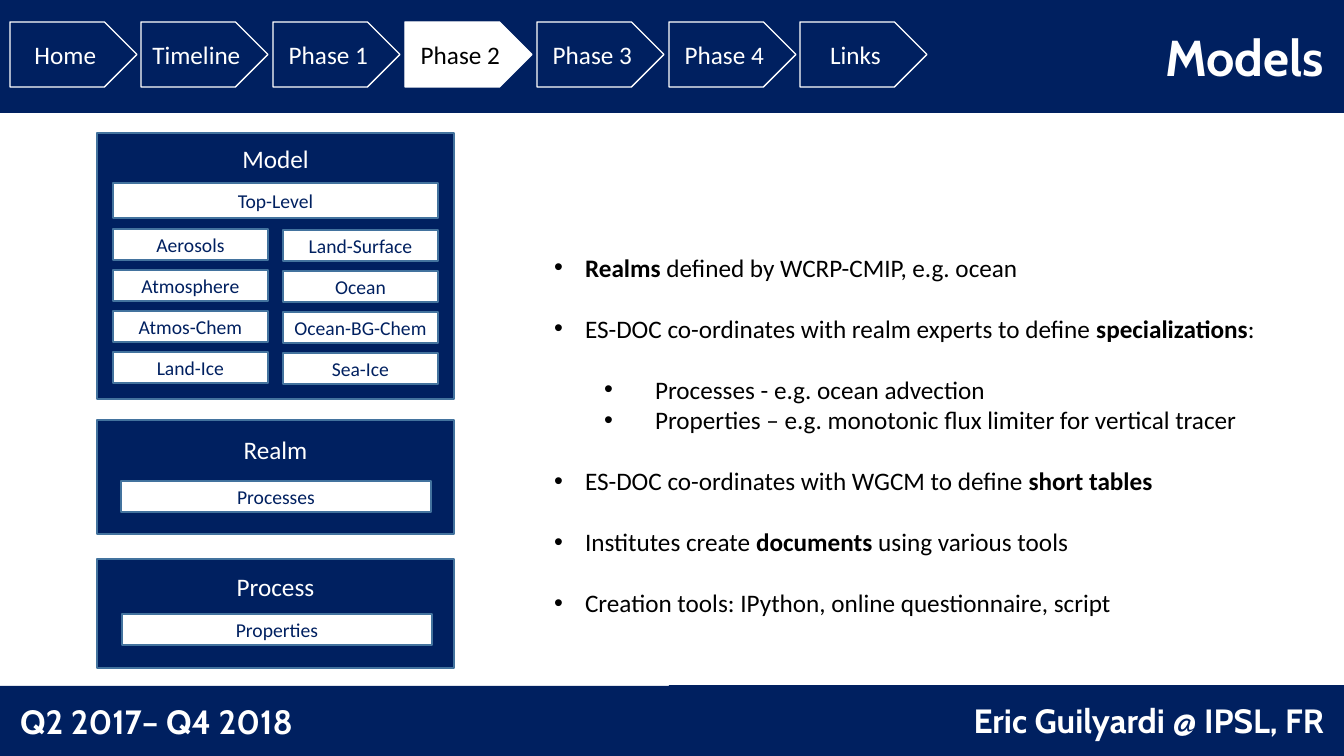
import pptx
import pptx.dml.color
import pptx.enum.shapes
import pptx.enum.text
import pptx.oxml
import pptx.oxml.ns
import pptx.util

PX = 9071
NAVY, WHITE, BLACK, EDGE = "002060", "FFFFFF", "000000", "43739E"
KIND = pptx.enum.shapes.MSO_SHAPE
ALIGN = pptx.enum.text.PP_ALIGN
hue = pptx.dml.color.RGBColor.from_string


def put(para, text, size, color, font="Calibri", bold=False):
    """Append a formatted run to a paragraph."""
    run = para.add_run()
    run.text = text
    look = {"size": pptx.util.Pt(size), "name": font, "bold": bold}
    for key, value in look.items():
        setattr(run.font, key, value)
    run.font.color.rgb = hue(color)


def box(kind, area, fill, edge=None, text="", size=14, color=NAVY):
    """Add a filled shape with centred text."""
    shape = slide.shapes.add_shape(kind, *(n * PX for n in area))
    shape.shadow.inherit = False
    shape.fill.solid()
    shape.fill.fore_color.rgb = hue(fill)
    if edge:
        shape.line.color.rgb = hue(edge)
        shape.line.width = pptx.util.Pt(1)
    else:
        shape.line.fill.background()
    if text:
        para = shape.text_frame.paragraphs[0]
        para.alignment = ALIGN.CENTER
        put(para, text, size, color)
    return shape


deck = pptx.Presentation()
deck.slide_width, deck.slide_height = 1344 * PX, 756 * PX
slide = deck.slides.add_slide(deck.slide_layouts[1])
title, body = slide.placeholders

# Title bar and list
areas = [(title, (0, 0, 1344, 113)), (body, (544, 247, 771, 377))]
for holder, area in areas:
    for key, value in zip(("left", "top", "width", "height"), area):
        setattr(holder, key, value * PX)
    holder.text_frame.auto_size = pptx.enum.text.MSO_AUTO_SIZE.NONE
title.fill.solid()
title.fill.fore_color.rgb = hue(NAVY)
frame = title.text_frame
frame.vertical_anchor = pptx.enum.text.MSO_ANCHOR.MIDDLE
frame.margin_right = 20 * PX
para = frame.paragraphs[0]
para.alignment = ALIGN.RIGHT
put(para, "Models", 36, WHITE, "Cabin", True)

# Level, space before in points, then runs with every second one bold
points = [
    (0, 0, ["", "Realms", " defined by WCRP-CMIP, e.g. ocean"]),
    (0, 22, ["ES-DOC co-ordinates with realm experts to define ",
             "specializations", ":"]),
    (1, 22, ["Processes - e.g. ocean advection"]),
    (1, 0, ["Properties – e.g. monotonic flux limiter for vertical tracer"]),
    (0, 22, ["ES-DOC co-ordinates with WGCM to define ", "short tables"]),
    (0, 22, ["Institutes create ", "documents ", "using various tools"]),
    (0, 22, ["Creation tools: IPython, online questionnaire, script"]),
]
frame = body.text_frame
for i, (level, gap, parts) in enumerate(points):
    para = frame.add_paragraph() if i else frame.paragraphs[0]
    para.level = level
    para.space_before = pptx.util.Pt(gap)
    left, hang = ((31, 31), (101, 51))[level]
    props = para._p.get_or_add_pPr()
    props.set("marL", str(left * PX))
    props.set("indent", str(-hang * PX))
    for tag, key, value in (("a:buFont", "typeface", "Arial"),
                            ("a:buChar", "char", "•")):
        mark = pptx.oxml.parse_xml(
            f'<{tag} {pptx.oxml.ns.nsdecls("a")} {key}="{value}"/>')
        props.append(mark)
    for j, part in enumerate(parts):
        if part:
            put(para, part, 18, BLACK, bold=j % 2 == 1)

# Panels: heading, top, height, heading top
panels = [("Model", 133, 266, 138), ("Realm", 420, 114, 429),
          ("Process", 559, 109, 566)]
for name, top, height, head in panels:
    box(KIND.RECTANGLE, (97, top, 357, height), NAVY, EDGE)
    label = slide.shapes.add_textbox(97 * PX, head * PX, 357 * PX, 40 * PX)
    label.text_frame.word_wrap = True
    para = label.text_frame.paragraphs[0]
    para.alignment = ALIGN.CENTER
    put(para, name, 18, WHITE)

# Tiles inside the panels
tiles = [("Top-Level", (113, 183, 325, 35)),
         ("Processes", (121, 481, 310, 31)),
         ("Properties", (122, 614, 310, 31))]
realms = [("Aerosols", "Land-Surface"), ("Atmosphere", "Ocean"),
          ("Atmos-Chem", "Ocean-BG-Chem"), ("Land-Ice", "Sea-Ice")]
for row, pair in enumerate(realms):
    for col, name in enumerate(pair):
        tiles.append((name, (113 + 170 * col, 229 + 41 * row + col, 155, 31)))
for name, area in tiles:
    box(KIND.RECTANGLE, area, WHITE, EDGE, name)

# Footer
feet = [("Eric Guilyardi @ IPSL, FR", (669, 685, 675, 71), ALIGN.RIGHT),
        ("Q2 2017– Q4 2018", (0, 686, 669, 70), ALIGN.LEFT)]
for text, area, side in feet:
    bar = box(KIND.RECTANGLE, area, NAVY)
    bar.text_frame.margin_left = bar.text_frame.margin_right = 20 * PX
    para = bar.text_frame.paragraphs[0]
    para.alignment = side
    put(para, text, 24, WHITE, "Cabin", True)

# Navigation
steps = ["Home", "Timeline", "Phase 1", "Phase 2", "Phase 3", "Phase 4",
         "Links"]
for i, name in enumerate(steps):
    fill, color = (WHITE, BLACK) if name == "Phase 2" else (NAVY, WHITE)
    box(KIND.PENTAGON, (10 + i * 1318 // 10, 22, 127, 65), fill, WHITE,
        name, 18, color)

deck.save("out.pptx")
